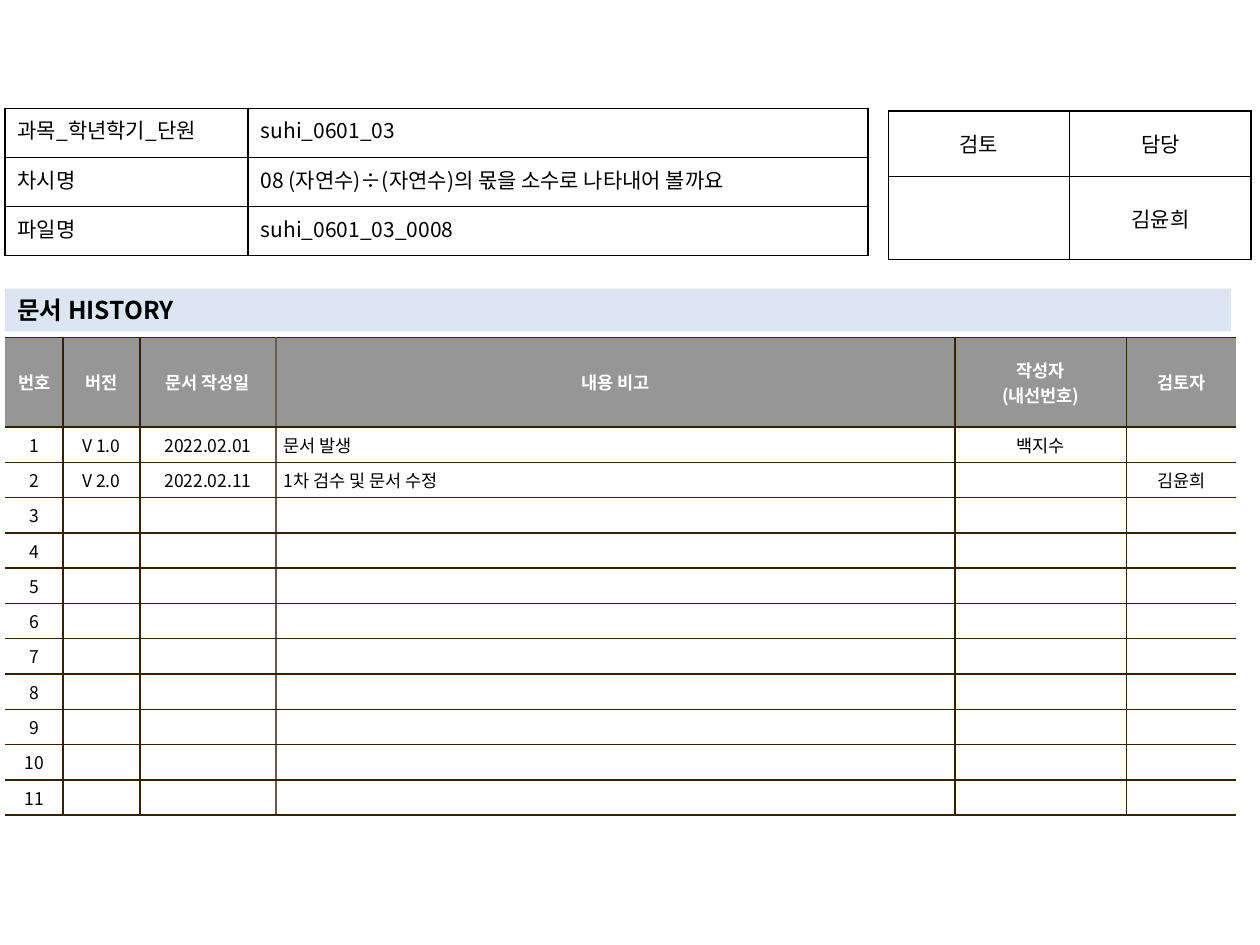
from lxml import etree
from pptx import Presentation
from pptx.dml.color import RGBColor
from pptx.enum.shapes import MSO_SHAPE
from pptx.enum.text import MSO_ANCHOR, PP_ALIGN
from pptx.oxml.ns import qn
from pptx.util import Inches, Pt

LEFT, MID, JUST = PP_ALIGN.LEFT, PP_ALIGN.CENTER, PP_ALIGN.JUSTIFY
TOP, CENTER = MSO_ANCHOR.TOP, MSO_ANCHOR.MIDDLE
RECT = MSO_SHAPE.RECTANGLE
FONT = "Noto Sans CJK KR"
HEX = {"black": "000000", "white": "FFFFFF", "gray": "969696",
       "blue": "DCE6F2", "brown": "362000", "taupe": "645B4C"}
HEADS = ["번호", "버전", "문서 작성일", "내용 비고", "작성자\n(내선번호)", "검토자"]
LOG = [["V 1.0", "2022.02.01", "문서 발생", "백지수", ""],
       ["V 2.0", "2022.02.11", "1차 검수 및 문서 수정", "", "김윤희"]]
COUNT = 11
INFO = [["과목_학년학기_단원", "suhi_0601_03"],
        ["차시명", "08 (자연수)÷(자연수)의 몫을 소수로 나타내어 볼까요"],
        ["파일명", "suhi_0601_03_0008"]]
REVIEW = [["검토", "담당"], ["", "김윤희"]]


def color(name):
    """Return the named colour."""
    return RGBColor.from_string(HEX[name])


def write(frame, text, size, align=LEFT, tint="black", bold=False):
    """Fill a text frame with evenly styled text."""
    frame.text = text
    style = {"name": FONT, "size": Pt(size), "bold": bold}
    for para in frame.paragraphs:
        para.alignment = align
        if not para.runs:
            end = para._p.get_or_add_endParaRPr()
            end.set("sz", str(size * 100))
        for run in para.runs:
            for key, value in style.items():
                setattr(run.font, key, value)
            run.font.color.rgb = color(tint)
            east = etree.SubElement(run._r.get_or_add_rPr(), qn("a:ea"))
            east.set("typeface", FONT)


def edge(cell, sides):
    """Draw the left, right, top and bottom borders of a cell."""
    props = cell._tc.get_or_add_tcPr()
    for spot, (side, tint) in enumerate(zip("LRTB", sides)):
        line = etree.Element(qn(f"a:ln{side}"), w=str(Pt(1)))
        if tint:
            fill = etree.SubElement(line, qn("a:solidFill"))
            etree.SubElement(fill, qn("a:srgbClr"), val=HEX[tint])
        else:
            etree.SubElement(line, qn("a:noFill"))
        props.insert(spot, line)


def grid(slide, left, top, cols, rows, pads, anchor):
    """Add a plain table and return its cells by row."""
    frame = slide.shapes.add_table(
        len(rows), len(cols), Inches(left), Inches(top),
        Inches(sum(cols)), Inches(sum(rows)))
    table = frame.table
    table.first_row = table.horz_banding = False
    for col, width in zip(table.columns, cols):
        col.width = Inches(width)
    for row, height in zip(table.rows, rows):
        row.height = Inches(height)
    across, down = map(Inches, pads)
    form = {"margin_left": across, "margin_right": across, "margin_top": down,
            "margin_bottom": down, "vertical_anchor": anchor}
    for cell in table.iter_cells():
        for key, value in form.items():
            setattr(cell, key, value)
    return [list(row.cells) for row in table.rows]


def form(slide, left, top, cols, rows, data, aligns, anchor):
    """Add a black ruled table with 12 point text."""
    cells = grid(slide, left, top, cols, rows, (0.1, 0.05), anchor)
    for line, texts in zip(cells, data):
        for cell, text, align in zip(line, texts, aligns):
            write(cell.text_frame, text, 12, align)
            cell.fill.background()
            edge(cell, ["black"] * 4)


def history(slide):
    """Add the numbered document history table."""
    cols = [0.46, 0.61, 1.08, 5.39, 1.36, 0.87]
    rows = [0.71] + [0.28] * COUNT
    data = LOG + [[""] * len(LOG[0])] * (COUNT - len(LOG))
    lines = [HEADS] + [[str(n), *row] for n, row in enumerate(data, 1)]
    rules = [None, "brown", "brown", "taupe", "brown", "brown", None]
    cells = grid(slide, 0.04, 2.68, cols, rows, (0.06, 0.04), CENTER)
    for r, texts in enumerate(lines):
        for c, text in enumerate(texts):
            cell, head = cells[r][c], r == 0
            align = LEFT if c == 3 and not head else MID
            write(cell.text_frame, text, 10, align,
                  "white" if head else "black", head)
            cell.fill.solid()
            cell.fill.fore_color.rgb = color("gray" if head else "white")
            edge(cell, [rules[c], rules[c + 1], "brown", "brown"])


def banner(slide, text):
    """Add the pale heading bar."""
    bar = slide.shapes.add_shape(
        RECT, Inches(0.04), Inches(2.29), Inches(9.73), Inches(0.34))
    bar.shadow.inherit = False
    bar.fill.solid()
    bar.fill.fore_color.rgb = color("blue")
    bar.line.fill.background()
    bar.text_frame.word_wrap = True
    write(bar.text_frame, text, 14, bold=True)


def main():
    """Build and save the slide."""
    deck = Presentation()
    deck.slide_width, deck.slide_height = Inches(10), Inches(7.5)
    slide = deck.slides.add_slide(deck.slide_layouts[6])
    history(slide)
    form(slide, 7.05, 0.88, [1.44] * 2, [0.52, 0.66], REVIEW, [MID, MID], CENTER)
    banner(slide, "문서 HISTORY")
    form(slide, 0.04, 0.86, [1.93, 4.92], [0.39] * 3, INFO, [JUST, LEFT], TOP)
    deck.save("out.pptx")


if __name__ == "__main__":
    main()
